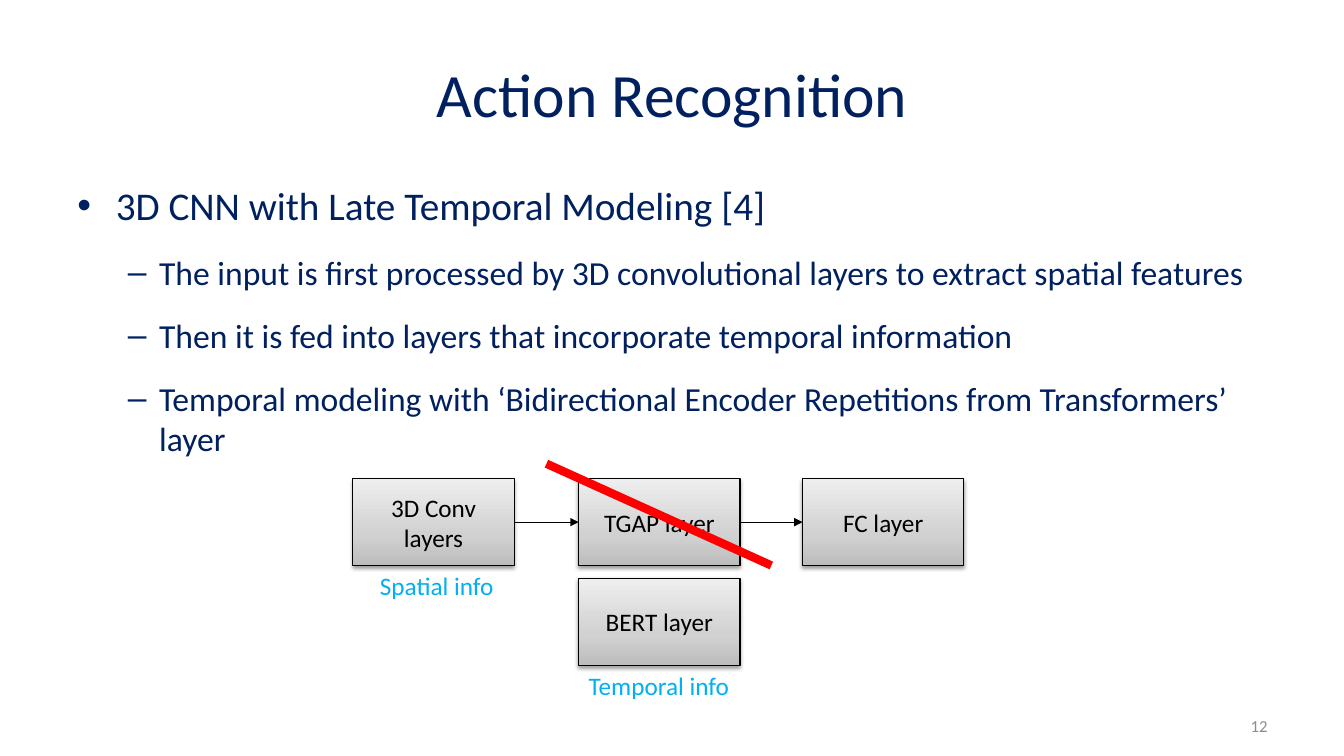
from lxml.etree import SubElement
from pptx import Presentation
from pptx.dml.color import RGBColor
from pptx.enum.shapes import MSO_CONNECTOR, MSO_SHAPE
from pptx.enum.text import MSO_ANCHOR, PP_ALIGN
from pptx.oxml import parse_xml
from pptx.oxml.ns import nsdecls, qn
from pptx.util import Inches, Pt

NAVY = RGBColor(0x00, 0x20, 0x60)
SKY = RGBColor(0x00, 0xB0, 0xF0)
GRAY = RGBColor(0x8C, 0x8C, 0x8C)
BLACK = RGBColor(0x00, 0x00, 0x00)
RED = RGBColor(0xFF, 0x00, 0x00)

GRADIENT_STOPS = [(0, "BDBDBD"), (35, "D1D1D1"), (100, "EEEEEE")]
BOX_WIDTH, BOX_HEIGHT = 1.6, 0.86
ROW_TOP, BERT_TOP = 4.75, 5.74
CONV_LEFT, TGAP_LEFT, FC_LEFT = 3.5, 5.74, 7.96


class SlideBuilder:
    """Draws styled text, bullets, layer boxes and lines on one slide."""

    font_name = "Calibri"

    def __init__(self, slide):
        self.slide = slide

    def add_run(self, paragraph, text, size, color):
        run = paragraph.add_run()
        run.text = text
        run.font.name = self.font_name
        run.font.size = Pt(size)
        run.font.color.rgb = color

    def frame(self, left, top, width, height, anchor=MSO_ANCHOR.TOP):
        box = self.slide.shapes.add_textbox(
            Inches(left), Inches(top), Inches(width), Inches(height))
        box.text_frame.word_wrap = True
        box.text_frame.vertical_anchor = anchor
        return box.text_frame

    def text(self, bounds, text, size, color, align=PP_ALIGN.LEFT, anchor=MSO_ANCHOR.TOP):
        paragraph = self.frame(*bounds, anchor).paragraphs[0]
        paragraph.alignment = align
        self.add_run(paragraph, text, size, color)

    def bullets(self, bounds, items):
        text_frame = self.frame(*bounds)
        for index, (level, text) in enumerate(items):
            paragraph = text_frame.add_paragraph() if index else text_frame.paragraphs[0]
            mark, margin, indent, size, before, after = [
                ("•", 0.38, -0.38, 28, 0, 9), ("–", 0.81, -0.31, 24, 8, 8)][level]
            paragraph.level = level
            paragraph.space_before = Pt(before)
            paragraph.space_after = Pt(after)
            properties = paragraph._p.get_or_add_pPr()
            properties.set("marL", str(Inches(margin)))
            properties.set("indent", str(Inches(indent)))
            SubElement(properties, qn("a:buFont"), typeface="Arial")
            SubElement(properties, qn("a:buChar"), char=mark)
            self.add_run(paragraph, text, size, NAVY)

    def layer_box(self, left, top, text):
        shape = self.slide.shapes.add_shape(
            MSO_SHAPE.RECTANGLE, Inches(left), Inches(top), Inches(BOX_WIDTH), Inches(BOX_HEIGHT))
        shape.line.color.rgb = BLACK
        shape.line.width = Pt(0.75)
        stops = "".join(
            f'<a:gs pos="{position * 1000}"><a:srgbClr val="{color}"/></a:gs>'
            for position, color in GRADIENT_STOPS)
        properties = shape._element.spPr
        properties.find(qn("a:prstGeom")).addnext(parse_xml(
            f'<a:gradFill {nsdecls("a")} rotWithShape="1"><a:gsLst>{stops}</a:gsLst>'
            '<a:lin ang="16200000" scaled="0"/></a:gradFill>'))
        shape.shadow.inherit = False
        properties.find(qn("a:effectLst")).append(parse_xml(
            f'<a:outerShdw {nsdecls("a")} blurRad="{Pt(3.1)}" dist="{Pt(1.6)}" dir="5400000" '
            'rotWithShape="0"><a:srgbClr val="000000"><a:alpha val="38000"/></a:srgbClr>'
            '</a:outerShdw>'))
        shape.text_frame.word_wrap = True
        shape.text_frame.vertical_anchor = MSO_ANCHOR.MIDDLE
        paragraph = shape.text_frame.paragraphs[0]
        paragraph.alignment = PP_ALIGN.CENTER
        self.add_run(paragraph, text, 18, BLACK)

    def line(self, start, end, color, width, arrow=False):
        connector = self.slide.shapes.add_connector(
            MSO_CONNECTOR.STRAIGHT, *map(Inches, start + end))
        connector.line.color.rgb = color
        connector.line.width = Pt(width)
        if arrow:
            SubElement(connector.line._get_or_add_ln(), qn("a:tailEnd"), type="triangle")
        SubElement(connector._element.spPr, qn("a:effectLst"))


def main():
    presentation = Presentation()
    presentation.slide_width = Inches(13.33)
    presentation.slide_height = Inches(7.5)
    builder = SlideBuilder(presentation.slides.add_slide(presentation.slide_layouts[6]))

    builder.text((0.67, 0.3, 12, 1.25), "Action Recognition", 44, NAVY,
                 PP_ALIGN.CENTER, MSO_ANCHOR.MIDDLE)
    builder.bullets((0.67, 1.75, 12.17, 5.65), [
        (0, "3D CNN with Late Temporal Modeling [4]"),
        (1, "The input is first processed by 3D convolutional layers to extract spatial features"),
        (1, "Then it is fed into layers that incorporate temporal information"),
        (1, "Temporal modeling with ‘Bidirectional Encoder Repetitions from Transformers’ layer"),
    ])
    builder.text((9.56, 7, 3.11, 0.4), "12", 12, GRAY, PP_ALIGN.RIGHT, MSO_ANCHOR.MIDDLE)

    arrow_y = ROW_TOP + BOX_HEIGHT / 2
    for source_left, target_left in [(CONV_LEFT, TGAP_LEFT), (TGAP_LEFT, FC_LEFT)]:
        builder.line((source_left + BOX_WIDTH, arrow_y), (target_left, arrow_y),
                     BLACK, 0.75, arrow=True)
    for left, top, text in [
        (CONV_LEFT, ROW_TOP, "3D Conv layers"),
        (TGAP_LEFT, ROW_TOP, "TGAP layer"),
        (TGAP_LEFT, BERT_TOP, "BERT layer"),
        (FC_LEFT, ROW_TOP, "FC layer"),
    ]:
        builder.layer_box(left, top, text)
    builder.line((5.42, 4.6), (7.65, 5.61), RED, 6)
    builder.text((3.67, ROW_TOP + BOX_HEIGHT, 1.6, 0.41), "Spatial info", 18, SKY)
    builder.text((TGAP_LEFT, BERT_TOP + BOX_HEIGHT, 2.23, 0.46), "Temporal info", 18, SKY)

    presentation.save("out.pptx")


if __name__ == "__main__":
    main()
